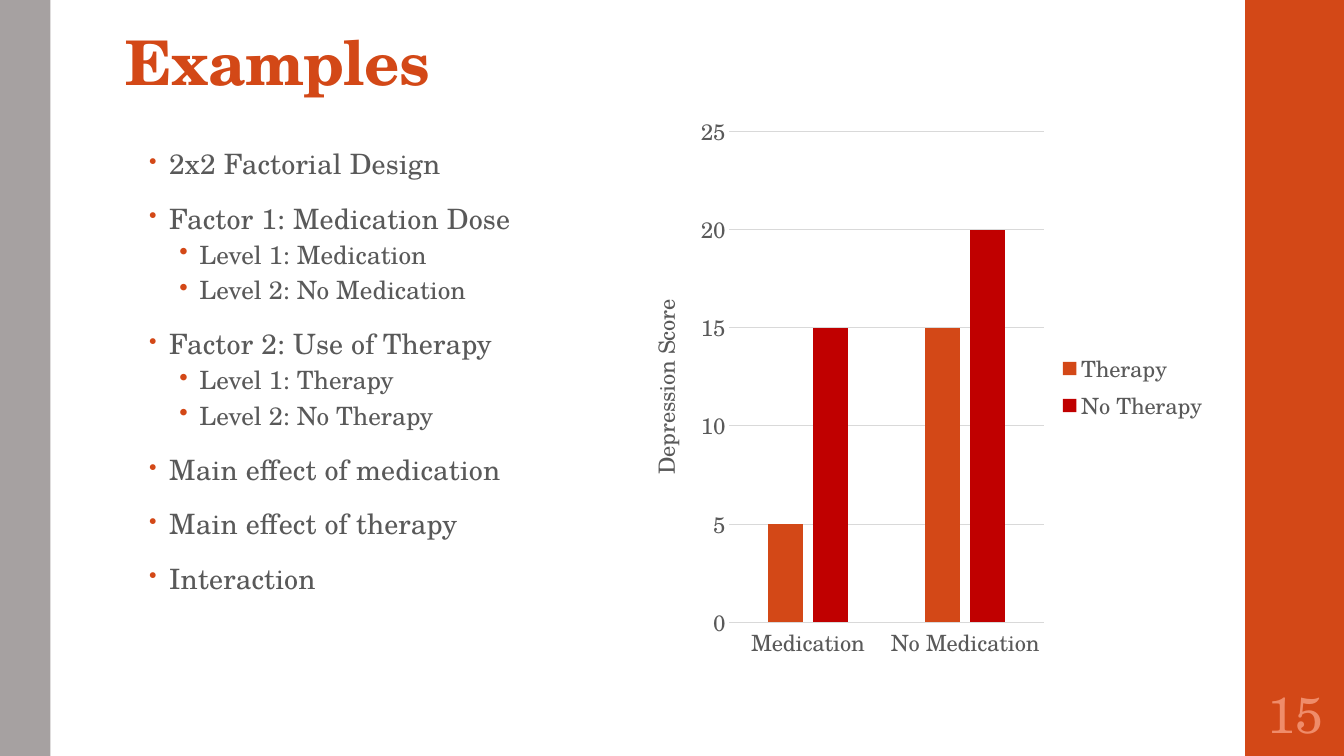
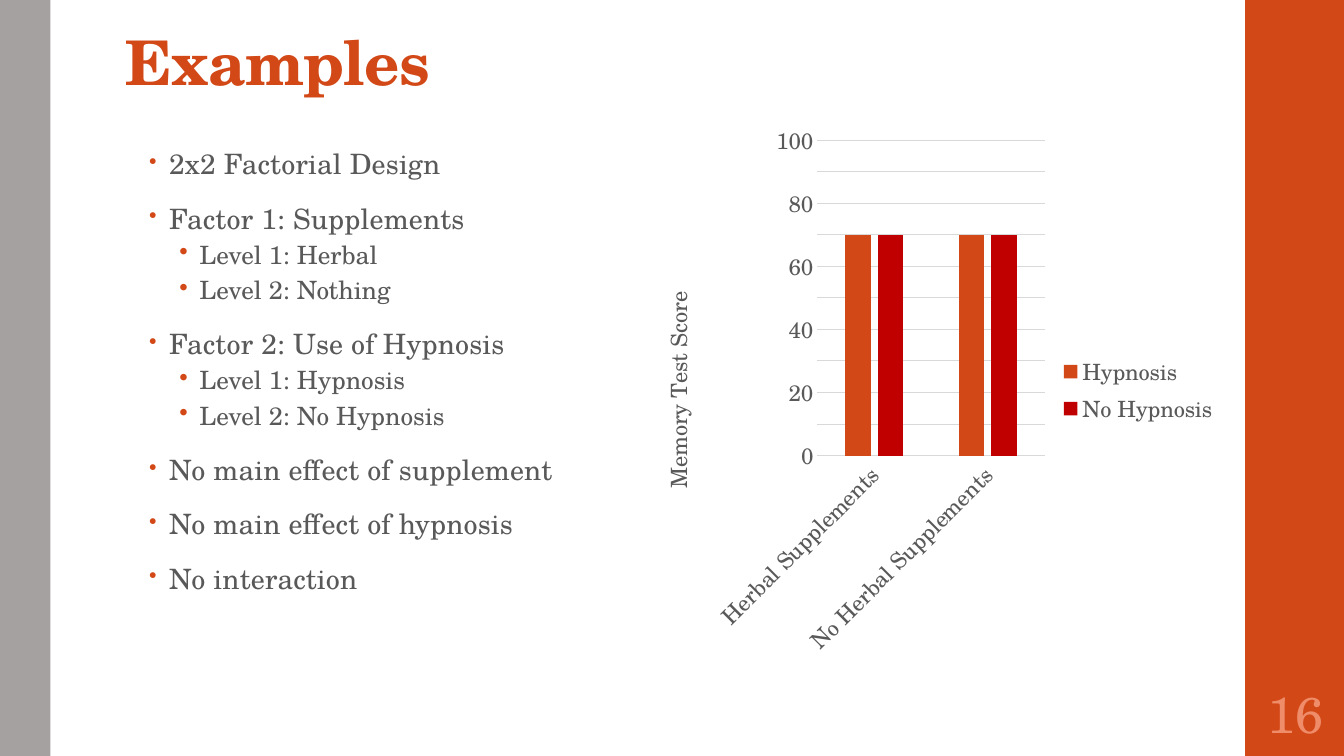
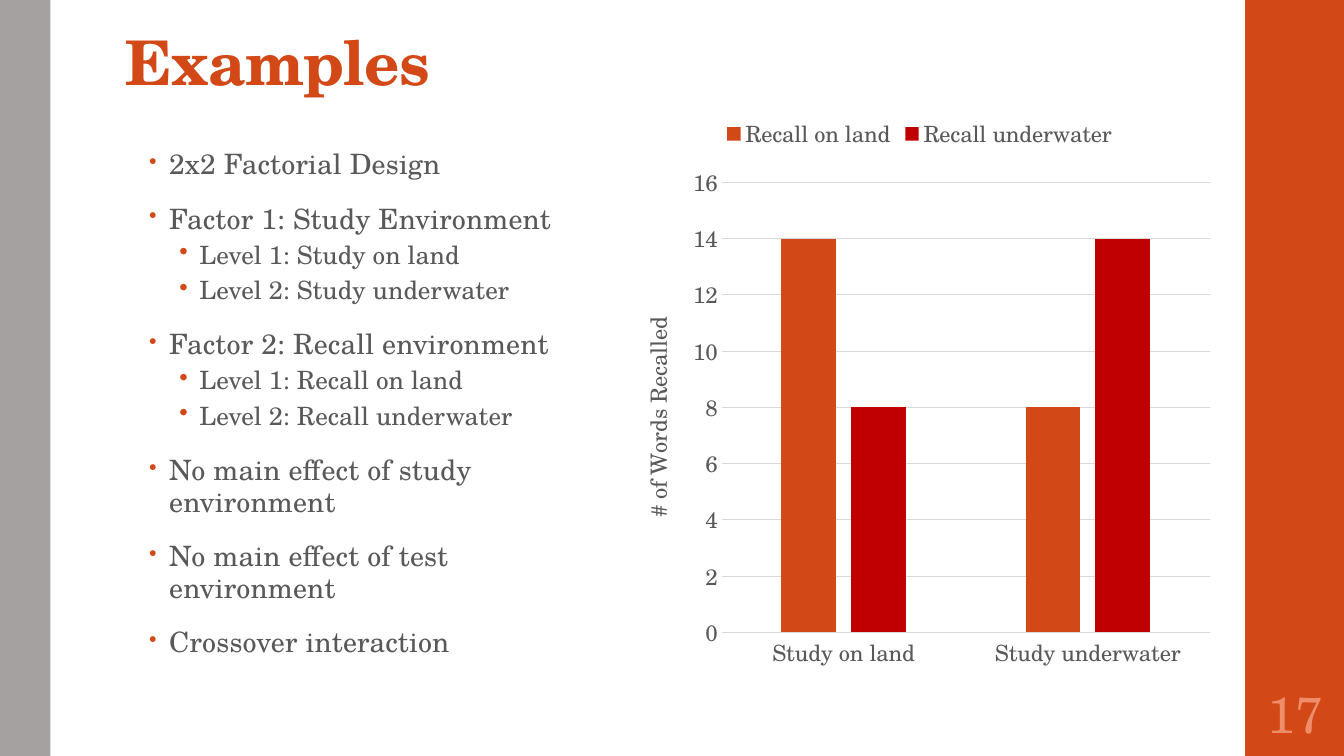
"""Build three factorial-design example slides, each with a bullet list and a column chart."""
from lxml import etree
from pptx import Presentation
from pptx import util as u
from pptx.chart.data import CategoryChartData
from pptx.dml.color import RGBColor
from pptx.enum import chart as ch, shapes, text
from pptx.oxml import ns

W, H = 13.33, 7.5
FONT = "TeX Gyre Schola"
ORANGE, RED, GREY, INK, RULE, PALE = "D34817", "C00000", "A6A1A1", "595959", "D9D9D9", "EF8C6A"
BANDS = [((12.35, 0, 1, H), ORANGE), ((0, 0, 0.5, H), GREY)]
TITLE_BOX = (1.15, -0.5, 10.6, 1.53)
BODY_BOX = (1.38, 1.43, 4.22, 5.32)
NUMBER_BOX = (12.35, 6.75, 1, 0.65)
FIRST_NUMBER = 15
AUTO_ROT, UP_ROT, SLANT_ROT = -60000000, -5400000, -2700000

LEVELS = [
    dict(size=20, spc=10, indent=0.2, bullet=80,
         para=dict(line_spacing=0.95, space_before=u.Pt(14), space_after=u.Pt(2))),
    dict(size=18, spc=0, indent=0.5, bullet=100,
         para=dict(line_spacing=0.9, space_before=u.Pt(3), space_after=u.Pt(3), level=1)),
]

SLIDES = [
    dict(points=[("2x2 Factorial Design", []),
                 ("Factor 1: Medication Dose", ["Level 1: Medication", "Level 2: No Medication"]),
                 ("Factor 2: Use of Therapy", ["Level 1: Therapy", "Level 2: No Therapy"]),
                 ("Main effect of medication", []),
                 ("Main effect of therapy", []),
                 ("Interaction", [])],
         box=(6.2, 1.03, 5.88, 5.62), axis="Depression Score", legend="RIGHT",
         cats=["Medication", "No Medication"],
         series=[("Therapy", [5, 15]), ("No Therapy", [15, 20])]),
    dict(points=[("2x2 Factorial Design", []),
                 ("Factor 1: Supplements", ["Level 1: Herbal", "Level 2: Nothing"]),
                 ("Factor 2: Use of Hypnosis", ["Level 1: Hypnosis", "Level 2: No Hypnosis"]),
                 ("No main effect of supplement", []),
                 ("No main effect of hypnosis", []),
                 ("No interaction", [])],
         box=(6.32, 1.12, 5.86, 5.5), axis="Memory Test Score", legend="RIGHT",
         cats=["Herbal Supplements", "No Herbal Supplements"], label_rot=SLANT_ROT,
         scale=dict(minimum_scale=0, maximum_scale=100, major_unit=10),
         series=[("Hypnosis", [70, 70]), ("No Hypnosis", [70, 70])]),
    dict(points=[("2x2 Factorial Design", []),
                 ("Factor 1: Study Environment", ["Level 1: Study on land", "Level 2: Study underwater"]),
                 ("Factor 2: Recall environment", ["Level 1: Recall on land", "Level 2: Recall underwater"]),
                 ("No main effect of study environment", []),
                 ("No main effect of test environment", []),
                 ("Crossover interaction", [])],
         box=(6.12, 1.05, 6, 5.7), axis="# of Words Recalled", legend="TOP",
         cats=["Study on land", "Study underwater"],
         series=[("Recall on land", [14, 8]), ("Recall underwater", [8, 14])]),
]


def rgb(value):
    return RGBColor.from_string(value)


def inches(box):
    return [u.Inches(v) for v in box]


def apply(target, values):
    for name, value in values.items():
        setattr(target, name, value)


def style(font, size, color, bold=False):
    apply(font, dict(name=FONT, size=u.Pt(size), bold=bold))
    font.color.rgb = rgb(color)


def add_run(p, words, size, color, bold=False, spc=0):
    r = p.add_run()
    r.text = words
    style(r.font, size, color, bold)
    r.font._element.set("spc", str(spc))


def add_box(s, box, anchor, margins=(0.1, 0.05, 0.1, 0.05)):
    tf = s.shapes.add_textbox(*inches(box)).text_frame
    sides = ("margin_left", "margin_top", "margin_right", "margin_bottom")
    apply(tf, dict(word_wrap=True, vertical_anchor=anchor, **dict(zip(sides, inches(margins)))))
    return tf


def add_frame(s, number):
    for box, color in BANDS:
        band = s.shapes.add_shape(shapes.MSO_SHAPE.RECTANGLE, *inches(box))
        band.shadow.inherit = False
        band.fill.solid()
        band.fill.fore_color.rgb = rgb(color)
        band.line.fill.background()
    p = add_box(s, TITLE_BOX, text.MSO_ANCHOR.BOTTOM, (0.1, 0.03, 0.1, 0.05)).paragraphs[0]
    p.line_spacing = 0.9
    add_run(p, "Examples", 44, ORANGE, True, -50)
    p = add_box(s, NUMBER_BOX, text.MSO_ANCHOR.MIDDLE, (0.05,) * 4).paragraphs[0]
    p.alignment = text.PP_ALIGN.CENTER
    add_run(p, str(number), 36, PALE)


def add_bullet(p, indent, percent):
    pPr = p._p.get_or_add_pPr()
    pPr.set("marL", str(u.Inches(indent)))
    pPr.set("indent", str(u.Inches(-0.2)))
    color = etree.SubElement(pPr, ns.qn("a:buClr"))
    etree.SubElement(color, ns.qn("a:srgbClr"), val=ORANGE)
    etree.SubElement(pPr, ns.qn("a:buSzPct"), val=str(percent * 1000))
    etree.SubElement(pPr, ns.qn("a:buChar"), char="•")


def add_points(s, points):
    tf = add_box(s, BODY_BOX, text.MSO_ANCHOR.TOP)
    lines = [line for head, subs in points for line in [(0, head), *((1, sub) for sub in subs)]]
    for i, (level, words) in enumerate(lines):
        p = tf.add_paragraph() if i else tf.paragraphs[0]
        look = LEVELS[level]
        apply(p, look["para"])
        add_bullet(p, look["indent"], look["bullet"])
        add_run(p, words, look["size"], INK, spc=look["spc"])


def rotate(body, angle):
    body.set("rot", str(angle))
    body.set("vert", "horz")


def rule_line(line):
    line.color.rgb = rgb(RULE)
    line.width = u.Pt(0.75)


def add_columns(s, box, axis, legend, cats, series, label_rot=AUTO_ROT, scale=None):
    data = CategoryChartData()
    data.categories = cats
    for name, values in series:
        data.add_series(name, values)
    chart = s.shapes.add_chart(ch.XL_CHART_TYPE.COLUMN_CLUSTERED, *inches(box), data).chart
    apply(chart, dict(has_title=False, has_legend=True))
    style(chart.font, 16, INK)
    apply(chart.legend, dict(position=getattr(ch.XL_LEGEND_POSITION, legend), include_in_layout=False))
    style(chart.legend.font, 16, INK)
    plot = chart.plots[0]
    apply(plot, dict(gap_width=219, overlap=-27, vary_by_categories=False))
    for column, color in zip(plot.series, (ORANGE, RED)):
        column.format.fill.solid()
        column.format.fill.fore_color.rgb = rgb(color)
    cat, val = chart.category_axis, chart.value_axis
    for ax, angle in ((cat, label_rot), (val, AUTO_ROT)):
        apply(ax, dict(major_tick_mark=ch.XL_TICK_MARK.NONE, minor_tick_mark=ch.XL_TICK_MARK.NONE))
        style(ax.tick_labels.font, 16, INK)
        rotate(ax._element.find(ns.qn("c:txPr")).find(ns.qn("a:bodyPr")), angle)
    rule_line(cat.format.line)
    apply(val, dict(has_major_gridlines=True, has_title=True, **(scale or {})))
    rule_line(val.major_gridlines.format.line)
    val.format.line.fill.background()
    tf = val.axis_title.text_frame
    add_run(tf.paragraphs[0], axis, 16, INK)
    rotate(tf._txBody.find(ns.qn("a:bodyPr")), UP_ROT)


def main():
    prs = Presentation()
    prs.slide_width, prs.slide_height = inches((W, H))
    for number, content in enumerate(SLIDES, FIRST_NUMBER):
        s = prs.slides.add_slide(prs.slide_layouts[6])
        add_frame(s, number)
        add_points(s, content["points"])
        add_columns(s, **{key: value for key, value in content.items() if key != "points"})
    prs.save("out.pptx")


if __name__ == "__main__":
    main()
